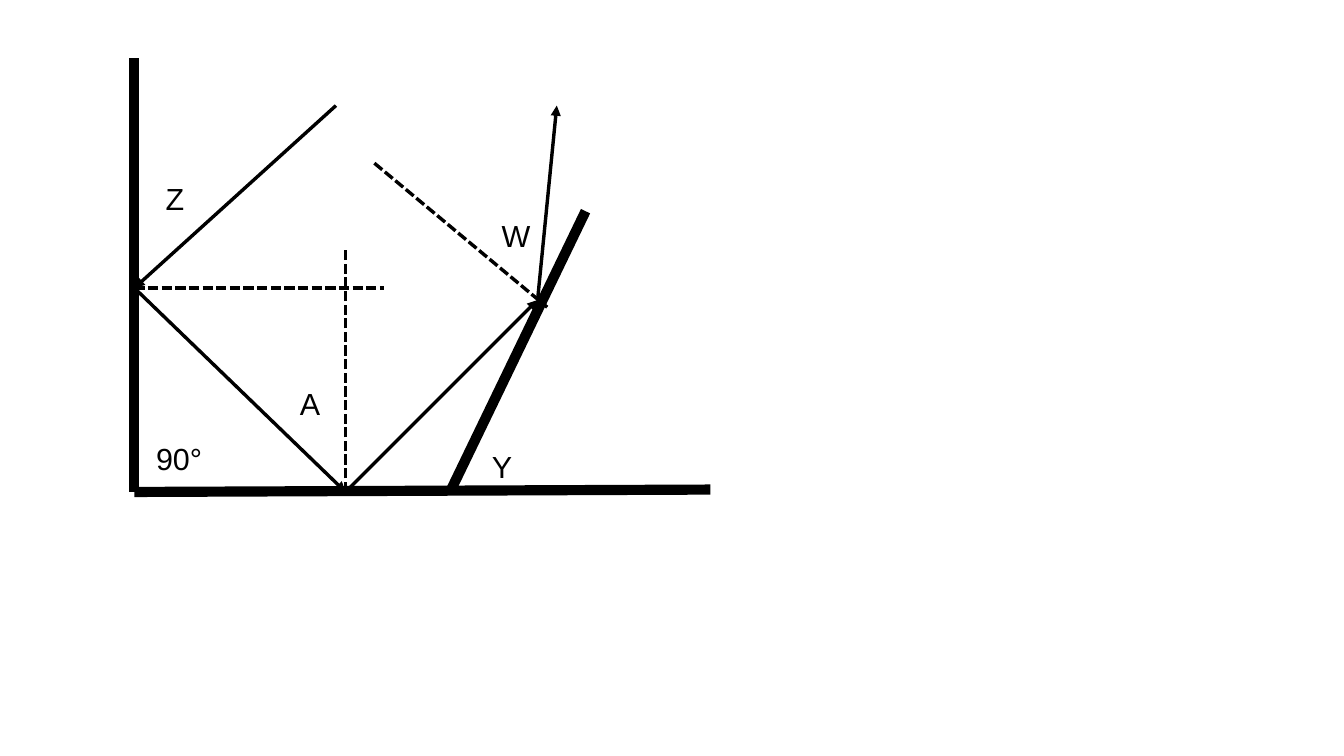
from dataclasses import dataclass
from typing import NamedTuple

from lxml.etree import SubElement
from pptx import Presentation
from pptx.dml.color import RGBColor
from pptx.enum.dml import MSO_LINE
from pptx.enum.shapes import MSO_CONNECTOR
from pptx.enum.text import MSO_ANCHOR, MSO_AUTO_SIZE
from pptx.oxml.ns import qn
from pptx.slide import Slide
from pptx.util import Inches, Pt

SLIDE_WIDTH = Inches(11.02)
SLIDE_HEIGHT = Inches(6.2)
COLUMNS = 28
ROWS = 15.75
BLACK = "000000"
MIRROR_WIDTH = 6
HAIRLINE = 0


class Point(NamedTuple):
    column: float
    row: float


@dataclass(frozen=True)
class Line:
    start: Point
    end: Point
    width: float = HAIRLINE
    dashed: bool = False
    arrow: str = ""


@dataclass(frozen=True)
class Label:
    text: str
    corner: Point
    columns: float = 1
    rows: float = 0.97


CORNER = Point(2.8, 10.25)
WALL_HIT = Point(2.8, 6)
FLOOR_HIT = Point(7.2, 10.25)
TILTED_HIT = Point(11.2, 6.25)

ELEMENTS: list[Line | Label] = [
    Line(CORNER, Point(14.8, 10.2), MIRROR_WIDTH),
    Line(FLOOR_HIT, Point(7.2, 5.2), dashed=True),
    Line(FLOOR_HIT, TILTED_HIT, arrow="tailEnd"),
    Line(FLOOR_HIT, WALL_HIT, arrow="headEnd"),
    Label("A", Point(6, 7.9)),
    Line(CORNER, Point(2.8, 1.2), MIRROR_WIDTH),
    Line(WALL_HIT, Point(8, 6), dashed=True),
    Line(Point(7, 2.2), WALL_HIT, arrow="tailEnd"),
    Label("Z", Point(3.2, 3.63)),
    Label("90°", Point(3, 9.05), 1.6, 2.4),
    Line(Point(9.4, 10.2), Point(12.2, 4.4), MIRROR_WIDTH),
    Label("Y", Point(10, 9.2)),
    Line(TILTED_HIT, Point(11.6, 2.2), arrow="tailEnd"),
    Label("W", Point(10.2, 4.4)),
    Line(Point(7.8, 3.4), Point(11.4, 6.4), dashed=True),
]


def across(columns: float) -> int:
    return round(SLIDE_WIDTH * columns / COLUMNS)


def down(rows: float) -> int:
    return round(SLIDE_HEIGHT * rows / ROWS)


def color(value: str) -> RGBColor:
    return RGBColor.from_string(value)


def draw_line(page: Slide, line: Line) -> None:
    connector = page.shapes.add_connector(
        MSO_CONNECTOR.STRAIGHT,
        across(line.start.column),
        down(line.start.row),
        across(line.end.column),
        down(line.end.row),
    )
    connector.line.width = Pt(line.width)
    connector.line.fill.solid()
    connector.line.fill.fore_color.rgb = color(BLACK)
    if line.dashed:
        connector.line.dash_style = MSO_LINE.SQUARE_DOT
    properties = connector.element.spPr
    if line.arrow:
        outline = properties.find(qn("a:ln"))
        SubElement(outline, qn(f"a:{line.arrow}"), type="triangle")
    SubElement(properties, qn("a:effectLst"))


def draw_label(page: Slide, label: Label) -> None:
    box = page.shapes.add_textbox(
        across(label.corner.column),
        down(label.corner.row),
        across(label.columns),
        down(label.rows),
    )
    frame = box.text_frame
    frame.word_wrap = True
    frame.auto_size = MSO_AUTO_SIZE.SHAPE_TO_FIT_TEXT
    frame.vertical_anchor = MSO_ANCHOR.TOP
    para = frame.paragraphs[0]
    para.text = label.text
    para.font.name = "Arial"
    para.font.size = Pt(18)
    para.font.color.rgb = color(BLACK)


def main() -> None:
    deck = Presentation()
    deck.slide_width = SLIDE_WIDTH
    deck.slide_height = SLIDE_HEIGHT
    page = deck.slides.add_slide(deck.slide_layouts[6])
    for element in ELEMENTS:
        if isinstance(element, Line):
            draw_line(page, element)
        else:
            draw_label(page, element)
    deck.save("out.pptx")


if __name__ == "__main__":
    main()
